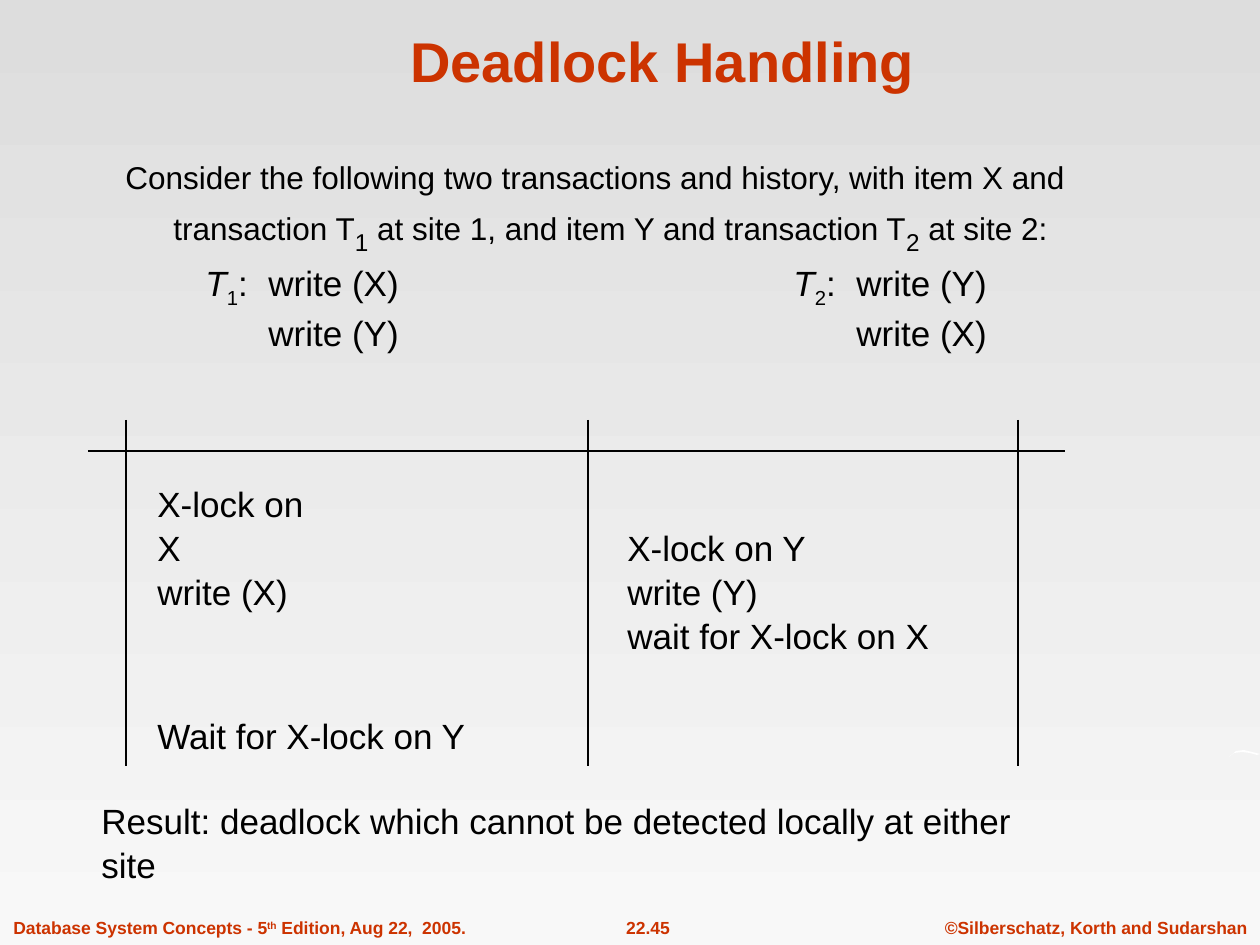
import pptx
import pptx.util
import pptx.dml.color
import pptx.enum.shapes
import pptx.enum.text
import pptx.oxml.ns
import lxml.etree

PX = 914400 // 126
HUES = {"red": "CC3300", "ink": "000000", "white": "FFFFFF", "top": "DDDDDD", "base": "F8F8F8"}
LEFT = pptx.enum.text.PP_ALIGN.LEFT
MID = pptx.enum.text.PP_ALIGN.CENTER


def hue(name):
    return pptx.dml.color.RGBColor.from_string(HUES[name])


def write(shape, lines, size, color="ink", bold=False, align=LEFT, space=1.0, before=0):
    frame = shape.text_frame
    for i, runs in enumerate(lines):
        para = frame.add_paragraph() if i else frame.paragraphs[0]
        para.alignment = align
        para.line_spacing = space
        para.space_before = pptx.util.Pt(before)
        font = para.font
        font.name, font.size, font.bold = "Arial", pptx.util.Pt(size), bold
        font.color.rgb = hue(color)
        for text, shift, points in runs:
            run = para.add_run()
            run.text = text
            if shift:
                run._r.get_or_add_rPr().set("baseline", str(shift * 1000))
            if points:
                run.font.size = pptx.util.Pt(points)
            if text == "T":
                run.font.italic = True


deck = pptx.Presentation()
deck.slide_width, deck.slide_height = 1260 * PX, 945 * PX
slide = deck.slides.add_slide(deck.slide_layouts[5])
shapes = slide.shapes

fill = slide.background.fill
fill.gradient()
fill.gradient_angle = 270
for stop, name, place in zip(fill.gradient_stops, ("top", "base"), (0, 1)):
    stop.color.rgb = hue(name)
    stop.position = place

edition = [("Database System Concepts - 5", 0, 0), ("th", 30, 0), (" Edition, Aug 22,  2005.", 0, 0)]
feet = [
    (932, 328, [("©Silberschatz, Korth and Sudarshan", 0, 0)], MID),
    (581, 134, [("22.45", 0, 0)], MID),
    (1, 478, edition, LEFT),
]
for left, width, runs, align in feet:
    box = shapes.add_textbox(left * PX, 911 * PX, width * PX, 34 * PX)
    box.text_frame.word_wrap = False
    write(box, [runs], 10, "red", True, align, before=6.2)

curve = [(1236, 751), (1244, 750), (1252, 752), (1260, 754), (1257, 755),
         (1250, 753), (1242, 752), (1234, 753), (1229, 757)]
pen = shapes.build_freeform(1229, 757, scale=PX)
pen.add_line_segments(curve, close=True)
wisp = pen.convert_to_shape()
wisp.shadow.inherit = False
wisp.fill.solid()
wisp.fill.fore_color.rgb = hue("white")
wisp.line.fill.background()

title = shapes.title
title.left, title.top, title.width, title.height = 106 * PX, 16 * PX, 1113 * PX, 84 * PX
title.text_frame.vertical_anchor = pptx.enum.text.MSO_ANCHOR.BOTTOM
write(title, [[("Deadlock Handling", 0, 0)]], 32, "red", True, MID)

intro = shapes.add_textbox(113 * PX, 150 * PX, 1091 * PX, 106 * PX)
intro.text_frame.word_wrap = True
write(intro, [[
    ("Consider the following two transactions and history, with item X and transaction T", 0, 0),
    ("1", -25, 24),
    (" at site 1, and item Y and transaction T", 0, 0),
    ("2", -25, 24),
    (" at site 2:", 0, 0),
]], 18, before=7.9, space=1.05)
props = intro.text_frame.paragraphs[0]._p.get_or_add_pPr()
props.set("marL", str(48 * PX))
props.set("indent", str(-48 * PX))

for left, num, first, then in ((193, "1", "X", "Y"), (781, "2", "Y", "X")):
    box = shapes.add_textbox(left * PX, 253 * PX, 281 * PX, 103 * PX)
    box.text_frame.word_wrap = False
    head = [("T", 0, 0), (num, -25, 0), (f":\twrite ({first})", 0, 0)]
    write(box, [head, [(f"\twrite ({then})", 0, 0)]], 20, space=1.05)

rules = [(x, 420, x, 766) for x in (126, 1018, 588)] + [(88, 451, 1065, 451)]
for ends in rules:
    rule = shapes.add_connector(pptx.enum.shapes.MSO_CONNECTOR.STRAIGHT, *[n * PX for n in ends])
    rule.line.color.rgb = hue("ink")
    rule.line.width = pptx.util.Pt(0.75)
    lxml.etree.SubElement(rule._element.spPr, pptx.oxml.ns.qn("a:effectLst"))

notes = [
    (145, 474, 204, 97, ["X-lock on X", "write (X)"]),
    (615, 518, 328, 139, ["X-lock on Y", "write (Y)", "wait for X-lock on X"]),
    (145, 706, 335, 55, ["Wait for X-lock on Y"]),
    (89, 791, 999, 55, ["Result: deadlock which cannot be detected locally at either site"]),
]
for left, top, width, height, lines in notes:
    box = shapes.add_textbox(left * PX, top * PX, width * PX, height * PX)
    box.text_frame.word_wrap = False
    write(box, [[(line, 0, 0)] for line in lines], 20, space=1.05)

deck.save("out.pptx")
